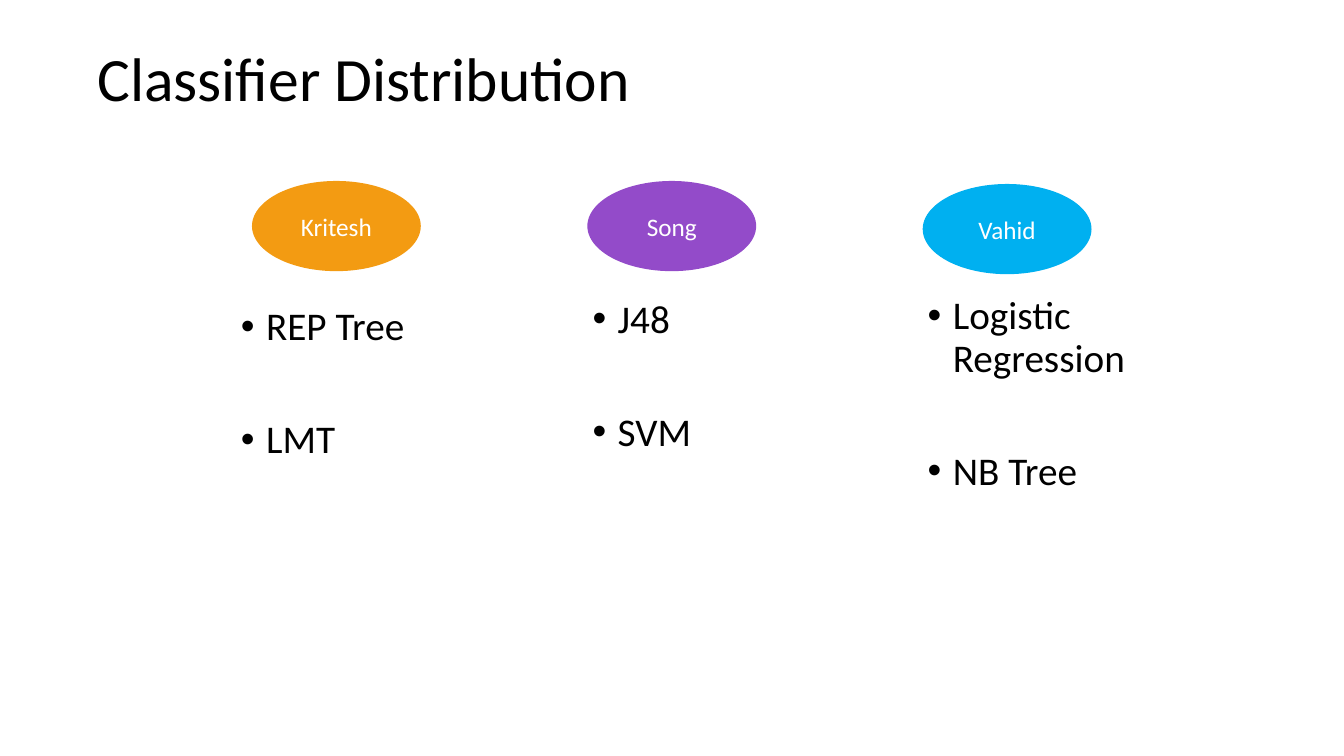
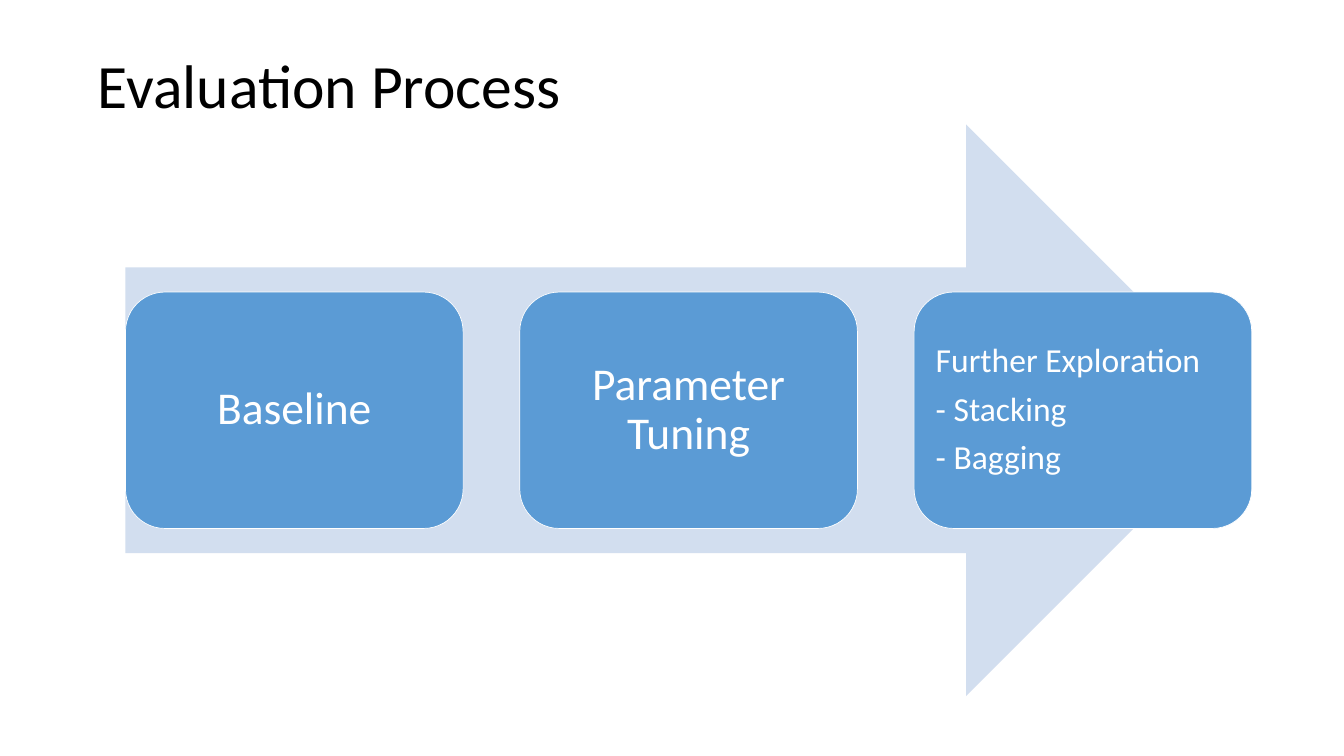
from lxml import etree
from pptx import Presentation
from pptx.dml.color import RGBColor
from pptx.enum.shapes import MSO_SHAPE
from pptx.enum.text import MSO_ANCHOR, MSO_AUTO_SIZE, PP_ALIGN
from pptx.oxml.ns import qn
from pptx.util import Inches, Pt

OVAL, ARROW, ROUNDED = MSO_SHAPE.OVAL, MSO_SHAPE.RIGHT_ARROW, MSO_SHAPE.ROUNDED_RECTANGLE
TOP, MIDDLE = MSO_ANCHOR.TOP, MSO_ANCHOR.MIDDLE
LEFT, CENTER = PP_ALIGN.LEFT, PP_ALIGN.CENTER
FIXED_SIZE = MSO_AUTO_SIZE.NONE

BLACK = RGBColor(0x00, 0x00, 0x00)
WHITE = RGBColor(0xFF, 0xFF, 0xFF)
ORANGE = RGBColor(0xF3, 0x9B, 0x12)
PURPLE = RGBColor(0x93, 0x4B, 0xC9)
SKY = RGBColor(0x00, 0xB0, 0xF0)
BLUE = RGBColor(0x5B, 0x9B, 0xD5)
PALE_BLUE = RGBColor(0xD2, 0xDE, 0xEF)
FONT = "Calibri"

DISTRIBUTION_TITLE = ("Classifier Distribution", 1.83, 0.16)
MEMBERS = [
    ("Kritesh", ORANGE, 3.59, ["REP Tree", "LMT"], (4.68, 6.04, 4.46, 4.03)),
    ("Song", PURPLE, 3.59, ["J48", "SVM"], (11.66, 5.89, 4.46, 4.18)),
    ("Vahid", SKY, 3.65, ["Logistic Regression", "NB Tree"], (18.31, 5.82, 4.46, 4.24)),
]
MEMBER_LEFT, MEMBER_STEP, MEMBER_SIZE = 5, 6.655, (3.35, 1.79)

PROCESS_TITLE = ("Evaluation Process", 1.84, 0.3)
PROCESS_ARROW = (2.49, 2.47, 22.35, 11.34)
STAGES = [
    (["Baseline"], 65, CENTER, 0.27),
    (["Parameter Tuning"], 65, CENTER, 0.27),
    (["Further Exploration", "- Stacking", "- Bagging"], 48, LEFT, 0.2),
]
STAGE_WIDTH, STAGE_HEIGHT = 6.7, 4.69

TITLE_FORMAT = {"alignment": LEFT, "line_spacing": 0.9, "space_before": Pt(0)}
LIST_FORMAT = {"alignment": LEFT, "line_spacing": 0.9, "space_before": Pt(20)}
LIST_GAP = Pt(101)


def inches(box):
    return [Inches(length) for length in box]


def apply(target, values):
    for name, value in values.items():
        setattr(target, name, value)


def place(shape, box):
    apply(shape, dict(zip(("left", "top", "width", "height"), inches(box))))


def write(shape, lines, size, color, paragraph_format, anchor=MIDDLE, inset=None):
    frame = shape.text_frame
    apply(frame, {"word_wrap": True, "auto_size": FIXED_SIZE, "vertical_anchor": anchor})
    if inset is not None:
        for side in ("left", "top", "right", "bottom"):
            setattr(frame, f"margin_{side}", Inches(inset))
    frame.text = "\n".join(lines)
    for paragraph in frame.paragraphs:
        apply(paragraph, paragraph_format)
        for run in paragraph.runs:
            apply(run.font, {"name": FONT, "size": Pt(size)})
            run.font.color.rgb = color


def add_titled_slide(deck, layout, title):
    wording, left, top = title
    slide = deck.slides.add_slide(deck.slide_layouts[layout])
    place(slide.shapes.title, (left, top, 23, 2.9))
    write(slide.shapes.title, [wording], 88, BLACK, TITLE_FORMAT)
    return slide


def add_filled(slide, preset, box, fill, outline=None):
    shape = slide.shapes.add_shape(preset, *inches(box))
    shape.shadow.inherit = False
    shape.fill.solid()
    shape.fill.fore_color.rgb = fill
    if outline is None:
        shape.line.fill.background()
    else:
        shape.line.color.rgb = outline
        shape.line.width = Pt(1)
    return shape


def write_bullets(shape, items):
    write(shape, items, 56, BLACK, LIST_FORMAT, TOP)
    for index, paragraph in enumerate(shape.text_frame.paragraphs):
        if index:
            paragraph.space_before = LIST_GAP
        properties = paragraph._p.get_or_add_pPr()
        properties.set("marL", str(Inches(0.5)))
        properties.set("indent", str(Inches(-0.5)))
        for tag, name, value in (("a:buFont", "typeface", "Arial"), ("a:buChar", "char", "•")):
            etree.SubElement(properties, qn(tag)).set(name, value)


def build_distribution(deck):
    slide = add_titled_slide(deck, 1, DISTRIBUTION_TITLE)
    for index, (member, color, top, classifiers, list_box) in enumerate(MEMBERS):
        left = MEMBER_LEFT + index * MEMBER_STEP
        oval = add_filled(slide, OVAL, (left, top, *MEMBER_SIZE), color)
        write(oval, [member], 36, WHITE, {"alignment": CENTER})
        if index == 0:
            classifier_list = slide.placeholders[1]
            place(classifier_list, list_box)
        else:
            classifier_list = slide.shapes.add_textbox(*inches(list_box))
        write_bullets(classifier_list, classifiers)


def build_process(deck):
    slide = add_titled_slide(deck, 5, PROCESS_TITLE)
    add_filled(slide, ARROW, PROCESS_ARROW, PALE_BLUE)
    left, top, width, height = PROCESS_ARROW
    step = (width - STAGE_WIDTH) / (len(STAGES) - 1)
    stage_top = top + (height - STAGE_HEIGHT) / 2
    for index, (lines, size, alignment, inset) in enumerate(STAGES):
        box = (left + index * step, stage_top, STAGE_WIDTH, STAGE_HEIGHT)
        stage = add_filled(slide, ROUNDED, box, BLUE, WHITE)
        spacing = {"alignment": alignment, "line_spacing": 0.9, "space_after": Pt(round(size * 0.35))}
        write(stage, lines, size, WHITE, spacing, inset=inset)


def main():
    deck = Presentation()
    apply(deck, {"slide_width": Inches(26.67), "slide_height": Inches(15)})
    build_distribution(deck)
    build_process(deck)
    deck.save("out.pptx")


if __name__ == "__main__":
    main()
